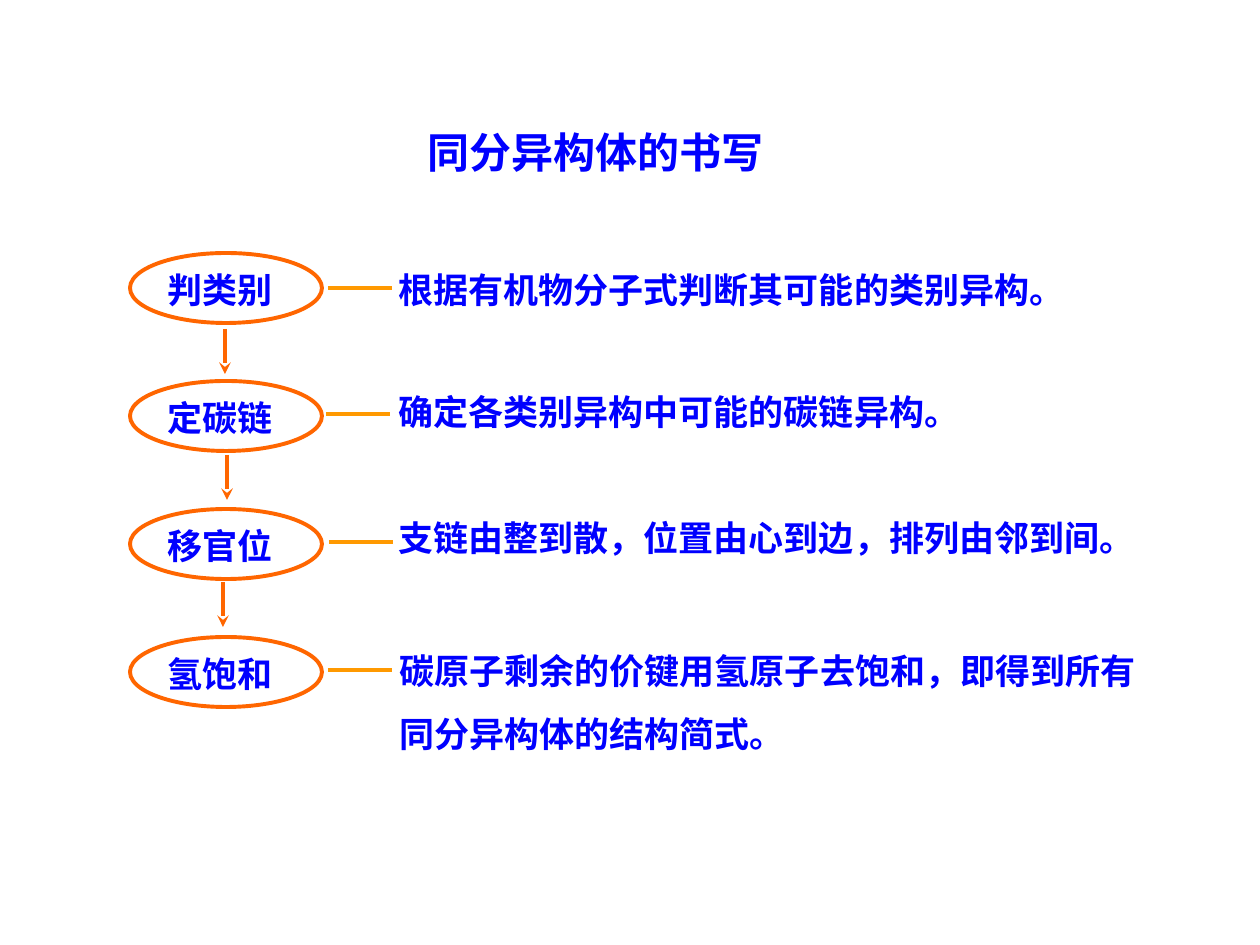
from lxml import etree
from pptx import Presentation
from pptx.dml.color import RGBColor
from pptx.enum import shapes, text
from pptx.oxml import ns
from pptx.util import Inches, Pt

PX_PER_INCH = 126
FONT = "Noto Sans CJK SC"
COLORS = {"text": "0000FF", "outline": "FF6600", "dash": "FF9900"}

STEP_LEFT, STEP_TOP, STEP_PITCH = 130, 253, 128
STEP_W, STEP_H = 192, 70

STEPS = [
    {"label": "判类别", "lines": ["根据有机物分子式判断其可能的类别异构。"],
     "body": (256, 9, 730, 55), "dash": (198, 35), "arrow": (95, 76)},
    {"label": "定碳链", "lines": ["确定各类别异构中可能的碳链异构。"],
     "body": (256, 3, 730, 55), "dash": (196, 33), "arrow": (97, 74)},
    {"label": "移官位", "lines": ["支链由整到散，位置由心到边，排列由邻到间。"],
     "body": (256, 1, 796, 55), "dash": (199, 33), "arrow": (93, 73)},
    {"label": "氢饱和",
     "lines": ["碳原子剩余的价键用氢原子去饱和，即得到所有", "同分异构体的结构简式。"],
     "body": (257, -15, 774, 139), "dash": (198, 33), "spacing": 1.5},
]


def px(n):
    return Inches(n / PX_PER_INCH)


def rgb(name):
    return RGBColor.from_string(COLORS[name])


def add_text(s, lines, x, y, w, h, size=20, spacing=None):
    tf = s.shapes.add_textbox(px(x), px(y), px(w), px(h)).text_frame
    tf.word_wrap = True
    tf.vertical_anchor = text.MSO_ANCHOR.TOP
    for i, line in enumerate(lines):
        p = tf.add_paragraph() if i else tf.paragraphs[0]
        p.line_spacing = spacing
        r = p.add_run()
        r.text = line
        r.font.name = FONT
        r.font.size = Pt(size)
        r.font.bold = True
        r.font.color.rgb = rgb("text")
        ea = etree.SubElement(r.font._element, ns.qn("a:ea"))
        ea.set("typeface", FONT)


def add_line(s, x, y, dx, dy, color, arrow=False):
    c = s.shapes.add_connector(
        shapes.MSO_CONNECTOR.STRAIGHT, px(x), px(y), px(x + dx), px(y + dy))
    c.line.color.rgb = rgb(color)
    c.line.width = Pt(2.25)
    if arrow:
        tail = etree.SubElement(c.line._get_or_add_ln(), ns.qn("a:tailEnd"))
        tail.set("type", "stealth")
    etree.SubElement(c._element.spPr, ns.qn("a:effectLst"))


def add_oval(s, x, y, w, h):
    sp = s.shapes.add_shape(
        shapes.MSO_SHAPE.OVAL, px(x), px(y), px(w), px(h))
    sp.shadow.inherit = False
    sp.fill.background()
    sp.line.color.rgb = rgb("outline")
    sp.line.width = Pt(2.25)


def add_title(s, x, y, w, h):
    add_text(s, ["同分异构体的书写"], x, y, w, h, size=24)


def add_step(s, step, x, y, w, h):
    add_oval(s, x, y, w, h)
    add_text(s, [step["label"]], x + 25, y + 9, w, 55)
    dx, dy = step["dash"]
    add_line(s, x + dx, y + dy, 64, 0, "dash")
    bx, by, bw, bh = step["body"]
    add_text(s, step["lines"], x + bx, y + by, bw, bh,
             spacing=step.get("spacing"))
    if "arrow" in step:
        ax, ay = step["arrow"]
        add_line(s, x + ax, y + ay, 0, 45, "outline", arrow=True)


def main():
    prs = Presentation()
    prs.slide_width, prs.slide_height = px(1260), px(945)
    s = prs.slides.add_slide(prs.slide_layouts[6])
    add_title(s, 415, 120, 408, 63)
    for i, step in enumerate(STEPS):
        add_step(s, step, STEP_LEFT, STEP_TOP + i * STEP_PITCH, STEP_W, STEP_H)
    prs.save("out.pptx")


if __name__ == "__main__":
    main()
